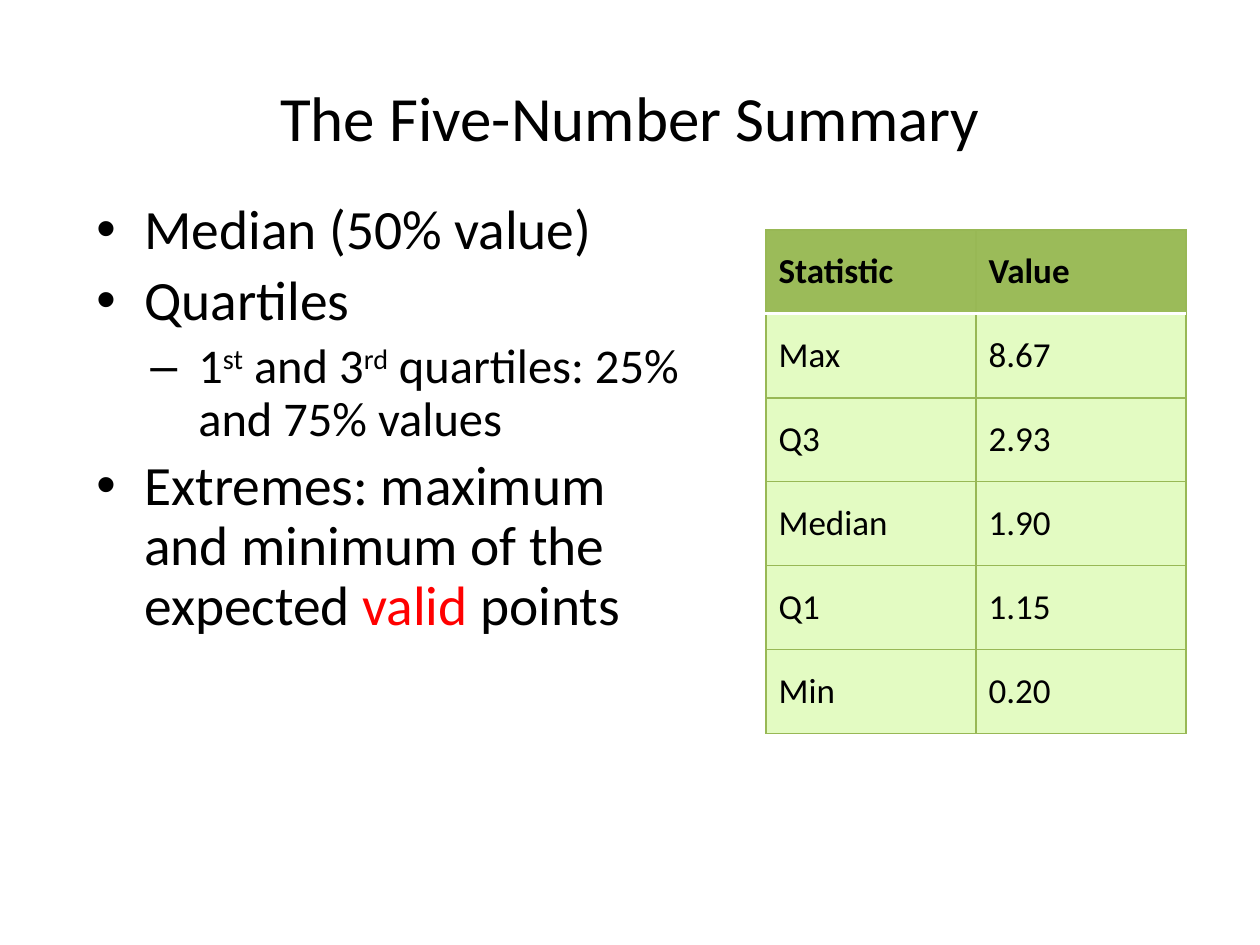
import pptx
import pptx.dml.color
import pptx.enum.text
import pptx.oxml
import pptx.oxml.ns
import pptx.util

PX = 914400 // 126
NS = pptx.oxml.ns.nsdecls("a")
BLACK, GREEN, EDGE, PALE = "000000", "9BBB59", "98B855", "E3FBC2"


def color(code):
    return pptx.dml.color.RGBColor.from_string(code)


def write(para, text, size, code=BLACK, bold=False):
    run = para.add_run()
    run.text = text
    run.font.name = "Calibri"
    run.font.size = pptx.util.Pt(size)
    run.font.bold = bold
    run.font.color.rgb = color(code)
    return run


deck = pptx.Presentation()
deck.slide_width = 1260 * PX
deck.slide_height = 945 * PX
slide = deck.slides.add_slide(deck.slide_layouts[6])

body = slide.shapes.add_textbox(84 * PX, 195 * PX, 617 * PX, 534 * PX).text_frame
body.word_wrap = True
items = [
    (0, [("Median (50% value)", "")]),
    (0, [("Quartiles", "")]),
    (1, [("1", ""), ("st", "up"), (" and 3", ""), ("rd", "up"),
         (" quartiles: 25% and 75% values", "")]),
    (0, [("Extremes: maximum and minimum of the expected ", ""),
         ("valid", "red"), (" points", "")]),
]
looks = [(31.7, 6.4, 48, "•"), (27.7, 5.6, 102, "–")]
for i, (level, parts) in enumerate(items):
    para = body.add_paragraph() if i else body.paragraphs[0]
    size, gap, left, mark = looks[level]
    para.level = level
    para.line_spacing = 0.9
    para.space_before = pptx.util.Pt(gap)
    props = para._p.get_or_add_pPr()
    props.set("marL", str(left * PX))
    props.set("indent", str(-48 * PX))
    for tag in (f'<a:buClr {NS}><a:srgbClr val="{BLACK}"/></a:buClr>',
                f'<a:buFont {NS} typeface="Arial"/>',
                f'<a:buChar {NS} char="{mark}"/>'):
        props.append(pptx.oxml.parse_xml(tag))
    for text, style in parts:
        run = write(para, text, size, "FF0000" if style == "red" else BLACK)
        if style == "up":
            run._r.get_or_add_rPr().set("baseline", "30000")

title = slide.shapes.add_textbox(63 * PX, 38 * PX, 1134 * PX, 157 * PX).text_frame
title.word_wrap = True
title.vertical_anchor = pptx.enum.text.MSO_ANCHOR.MIDDLE
title.paragraphs[0].alignment = pptx.enum.text.PP_ALIGN.CENTER
write(title.paragraphs[0], "The Five-Number Summary", 36)

rows = [("Statistic", "Value"), ("Max", "8.67"), ("Q3", "2.93"),
        ("Median", "1.90"), ("Q1", "1.15"), ("Min", "0.20")]
table = slide.shapes.add_table(
    len(rows), 2, 766 * PX, 230 * PX, 420 * PX, 504 * PX).table
for r, row in enumerate(rows):
    for c, text in enumerate(row):
        cell = table.cell(r, c)
        cell.vertical_anchor = pptx.enum.text.MSO_ANCHOR.MIDDLE
        para = cell.text_frame.paragraphs[0]
        para.space_before = pptx.util.Pt(4)
        write(para, text, 20, bold=r == 0)
        props = cell._tc.get_or_add_tcPr()
        for side in "LRTB":
            white = (r, side) in ((0, "B"), (1, "T"))
            code, width = ("FFFFFF", 1.98) if white else (EDGE, 0.75)
            props.append(pptx.oxml.parse_xml(
                f'<a:ln{side} {NS} w="{pptx.util.Pt(width)}"><a:solidFill>'
                f'<a:srgbClr val="{code}"/></a:solidFill></a:ln{side}>'))
        cell.fill.solid()
        cell.fill.fore_color.rgb = color(PALE if r else GREEN)

deck.save("out.pptx")
